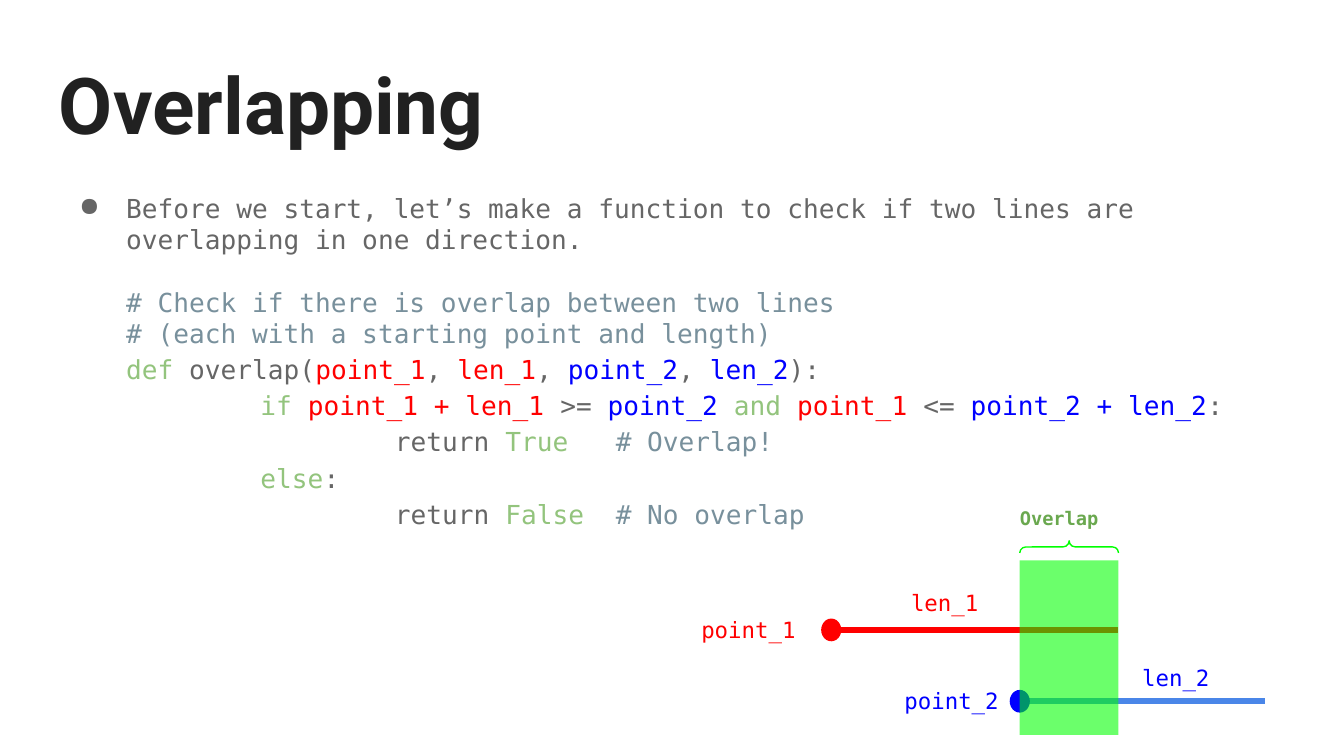
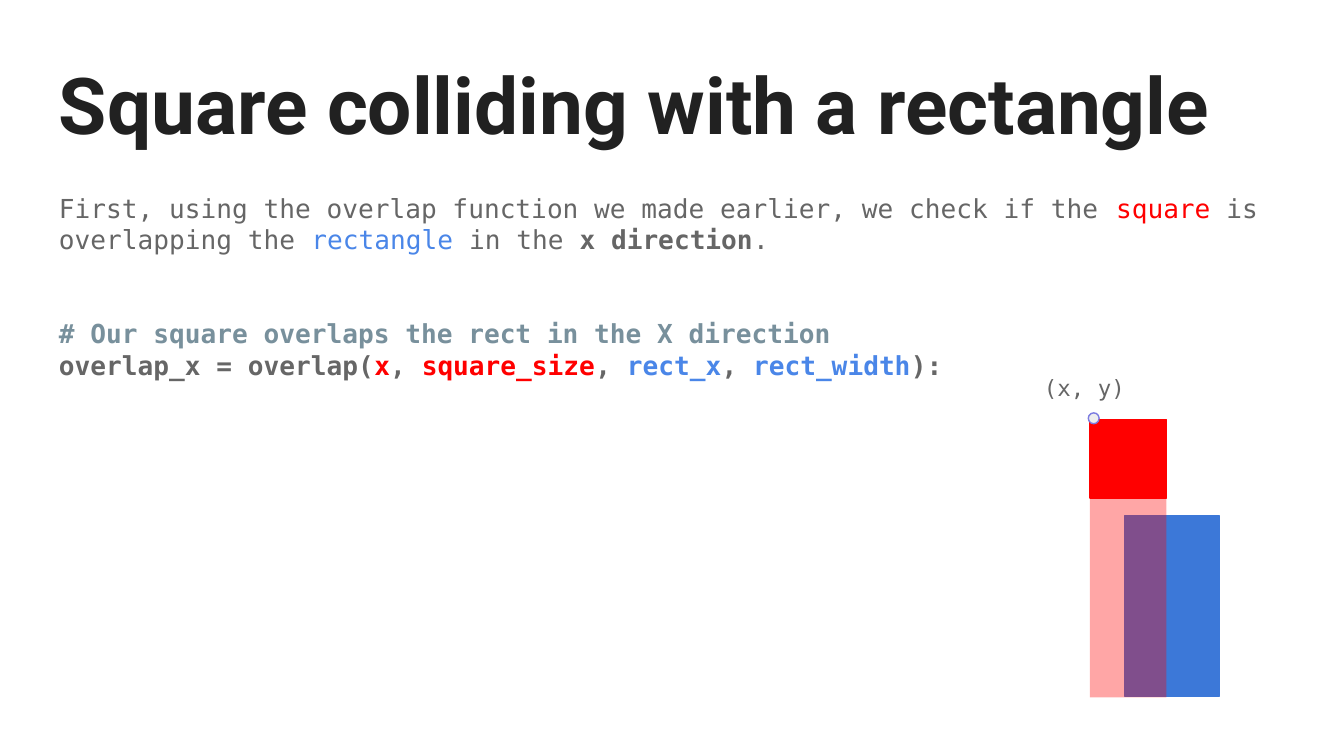
from dataclasses import dataclass
from typing import NamedTuple, Optional, Union

from lxml import etree
from pptx import Presentation
from pptx.dml.color import RGBColor
from pptx.enum.shapes import MSO_CONNECTOR, MSO_SHAPE
from pptx.enum.text import MSO_ANCHOR
from pptx.oxml.ns import qn
from pptx.presentation import Presentation as Deck
from pptx.shapes.autoshape import Shape
from pptx.shapes.shapetree import GroupShapes, SlideShapes
from pptx.slide import Slide
from pptx.util import Pt

RECTANGLE = MSO_SHAPE.RECTANGLE
ELLIPSE = MSO_SHAPE.OVAL
LEFT_BRACE = MSO_SHAPE.LEFT_BRACE
STRAIGHT = MSO_CONNECTOR.STRAIGHT
TOP = MSO_ANCHOR.TOP

WHITE = RGBColor(0xFF, 0xFF, 0xFF)
INK = RGBColor(0x21, 0x21, 0x21)
GREY = RGBColor(0x66, 0x66, 0x66)
COMMENT = RGBColor(0x78, 0x90, 0x9C)
KEYWORD = RGBColor(0x93, 0xC4, 0x7D)
RED = RGBColor(0xFF, 0x00, 0x00)
BLUE = RGBColor(0x00, 0x00, 0xFF)
SKY = RGBColor(0x4A, 0x86, 0xE8)
STEEL = RGBColor(0x3C, 0x78, 0xD8)
LIME = RGBColor(0x00, 0xFF, 0x00)
GREEN = RGBColor(0x6A, 0xA8, 0x4F)
PALE = RGBColor(0xEE, 0xEE, 0xEE)
VIOLET = RGBColor(0x7C, 0x7C, 0xE0)

TITLE_FONT, MONO_FONT = "Roboto", "DejaVu Sans Mono"
MARGIN = 24.5
INSET = 7.2
BODY_SIZE = 14
BLANK_LINE = 16.8
INDENT, TAB, HANGING = 36, 72, -25.2

Shapes = Union[SlideShapes, GroupShapes]


class Frame(NamedTuple):
    left: float
    top: float
    width: float
    height: float


class Span(NamedTuple):
    text: str
    color: RGBColor = GREY
    bold: Optional[bool] = None


@dataclass
class Para:
    spans: list[Span]
    size: float = BODY_SIZE
    font: str = MONO_FONT
    bold: bool = False
    margin: float = 0
    bullet: bool = False
    before: float = 0
    spacing: float = 1.0


@dataclass
class Label:
    text: str
    color: RGBColor
    frame: Frame
    size: float = 12
    bold: bool = False


@dataclass
class Segment:
    """A line on the number axis: its starting dot, length and colours."""
    start: float
    end: float
    height: float
    dot_color: RGBColor
    line_color: RGBColor


def code_line(level: int, *spans: Span) -> Para:
    return Para(list(spans), margin=INDENT + TAB * level, spacing=1.15)


def add_bullet(para_properties: etree._Element) -> None:
    color = etree.SubElement(para_properties, qn("a:buClr"))
    etree.SubElement(color, qn("a:srgbClr"), val=str(GREY))
    etree.SubElement(para_properties, qn("a:buChar"), char="●")


def add_text(shapes: Shapes, frame: Frame, paras: list[Para]) -> None:
    box = shapes.add_textbox(*map(Pt, frame))
    text = box.text_frame
    text.word_wrap = True
    text.vertical_anchor = TOP
    text.margin_left = text.margin_right = Pt(INSET)
    text.margin_top = text.margin_bottom = Pt(INSET)
    for index, item in enumerate(paras):
        para = text.add_paragraph() if index else text.paragraphs[0]
        para.line_spacing = item.spacing
        if item.before:
            para.space_before = Pt(item.before)
        properties = para._p.get_or_add_pPr()
        properties.set("marL", str(Pt(item.margin)))
        properties.set("indent", str(Pt(HANGING if item.bullet else 0)))
        if item.bullet:
            add_bullet(properties)
        para.font.name = item.font
        para.font.size = Pt(item.size)
        para.font.bold = item.bold
        for span in item.spans:
            run = para.add_run()
            run.text = span.text
            run.font.color.rgb = span.color
            if span.bold is not None:
                run.font.bold = span.bold


def add_label(shapes: Shapes, label: Label) -> None:
    span = Span(label.text, label.color)
    add_text(shapes, label.frame, [Para([span], size=label.size, bold=label.bold)])


def add_figure(shapes: Shapes, kind: MSO_SHAPE, frame: Frame,
               fill: Optional[RGBColor] = None, line: Optional[RGBColor] = None,
               opacity: int = 100) -> Shape:
    figure = shapes.add_shape(kind, *map(Pt, frame))
    figure.shadow.inherit = False
    if fill is None:
        figure.fill.background()
    else:
        figure.fill.solid()
        figure.fill.fore_color.rgb = fill
    if opacity < 100:
        color = figure._element.spPr.find(qn("a:solidFill"))[0]
        etree.SubElement(color, qn("a:alpha"), val=str(opacity * 1000))
    if line is None:
        figure.line.fill.background()
    else:
        figure.line.color.rgb = line
        figure.line.width = Pt(0.75)
    return figure


def add_segment(shapes: Shapes, segment: Segment) -> None:
    y = Pt(segment.height)
    line = shapes.add_connector(STRAIGHT, Pt(segment.start), y, Pt(segment.end), y)
    line.line.color.rgb = segment.line_color
    line.line.width = Pt(3)
    etree.SubElement(line._element.spPr, qn("a:effectLst"))
    width, height = 10.8, 12.2
    dot = Frame(segment.start - width / 2, segment.height - height / 2, width, height)
    add_figure(shapes, ELLIPSE, dot, segment.dot_color)


def add_page(deck: Deck, title: str, body: list[Para], body_height: float) -> Slide:
    page = deck.slides.add_slide(deck.slide_layouts[6])
    page.background.fill.solid()
    page.background.fill.fore_color.rgb = WHITE
    heading = Para([Span(title, INK)], size=42, font=TITLE_FONT, bold=True)
    add_text(page.shapes, Frame(MARGIN, 23, 671, 63.4), [heading])
    add_text(page.shapes, Frame(MARGIN, 95.8, 678, body_height), body)
    return page


def draw_overlapping(deck: Deck) -> None:
    body = [
        Para([Span("Before we start, let’s make a function to check if two lines are "
                   "overlapping in one direction.")], margin=INDENT, bullet=True),
        Para([Span("# Check if there is overlap between two lines", COMMENT)],
             margin=INDENT, before=BLANK_LINE),
        Para([Span("# (each with a starting point and length)", COMMENT)], margin=INDENT),
        code_line(0, Span("def ", KEYWORD), Span("overlap("), Span("point_1", RED),
                  Span(", "), Span("len_1", RED), Span(", "), Span("point_2", BLUE),
                  Span(", "), Span("len_2", BLUE), Span("):")),
        code_line(1, Span("if ", KEYWORD), Span("point_1 + len_1", RED), Span(" >= "),
                  Span("point_2 ", BLUE), Span("and ", KEYWORD), Span("point_1 ", RED),
                  Span("<= "), Span("point_2 + len_2", BLUE), Span(":")),
        code_line(2, Span("return "), Span("True   ", KEYWORD),
                  Span("# Overlap!", COMMENT)),
        code_line(1, Span("else", KEYWORD), Span(":")),
        code_line(2, Span("return "), Span("False  ", KEYWORD),
                  Span("# No overlap", COMMENT)),
    ]
    page = add_page(deck, "Overlapping", body, 197.3)
    shapes = page.shapes.add_group_shape().shapes
    labels = [
        Label("point_1", RED, Frame(368.6, 322.6, 75.6, 29.5)),
        Label("point_2", BLUE, Frame(477.4, 360.7, 68.4, 29.5)),
        Label("len_1", RED, Frame(481, 308.2, 64.8, 29.5)),
        Label("len_2", BLUE, Frame(604.8, 348.5, 64.8, 25.2)),
        Label("Overlap", GREEN, Frame(539.3, 265.7, 75.6, 20.9), size=10, bold=True),
    ]
    for label in labels:
        add_label(shapes, label)
    first = Segment(445.3, 599.2, 337.5, RED, RED)
    second = Segment(546.3, 677.5, 375.7, BLUE, SKY)
    for segment in (first, second):
        add_segment(shapes, segment)

    shared = first.end - second.start
    add_figure(shapes, RECTANGLE, Frame(second.start, 300.2, shared, 93.6), LIME, opacity=58)
    depth = 6.5
    middle = second.start + shared / 2
    brace = add_figure(shapes, LEFT_BRACE,
                       Frame(middle - depth / 2, 293 - shared / 2, depth, shared), line=LIME)
    brace.adjustments[0] = brace.adjustments[1] = 0.5
    brace.rotation = 90


def draw_collision(deck: Deck) -> None:
    body = [
        Para([Span("First, using the overlap function we made earlier, we check if the "),
              Span("square", RED), Span(" is overlapping the "), Span("rectangle ", SKY),
              Span("in the "), Span("x direction", bold=True), Span(".")]),
        Para([Span("# Our square overlaps the rect in the X direction", COMMENT)],
             bold=True, before=2 * BLANK_LINE),
        Para([Span("overlap_x = overlap("), Span("x", RED), Span(", "),
              Span("square_size", RED), Span(", "), Span("rect_x", SKY), Span(", "),
              Span("rect_width", SKY), Span("):")], bold=True),
    ]
    shapes = add_page(deck, "Square colliding with a rectangle", body, 131.8).shapes
    left, top, side = 583.9, 224.7, 41
    add_figure(shapes, RECTANGLE, Frame(602.7, 276, 50.4, 97.2), STEEL, STEEL)
    add_figure(shapes, RECTANGLE, Frame(left, top, side, 42.2), RED, RED)
    add_label(shapes, Label("(x, y)", GREY, Frame(552.2, 193, 67, 28.8)))
    add_figure(shapes, ELLIPSE, Frame(left - 0.9, top - 3.5, 5.8, 5.8), PALE, VIOLET)
    add_figure(shapes, RECTANGLE, Frame(left, 241.2, side, 132.4), RED, opacity=35)


def main() -> None:
    deck = Presentation()
    deck.slide_width, deck.slide_height = Pt(720), Pt(405)
    draw_overlapping(deck)
    draw_collision(deck)
    deck.save("out.pptx")


if __name__ == "__main__":
    main()
